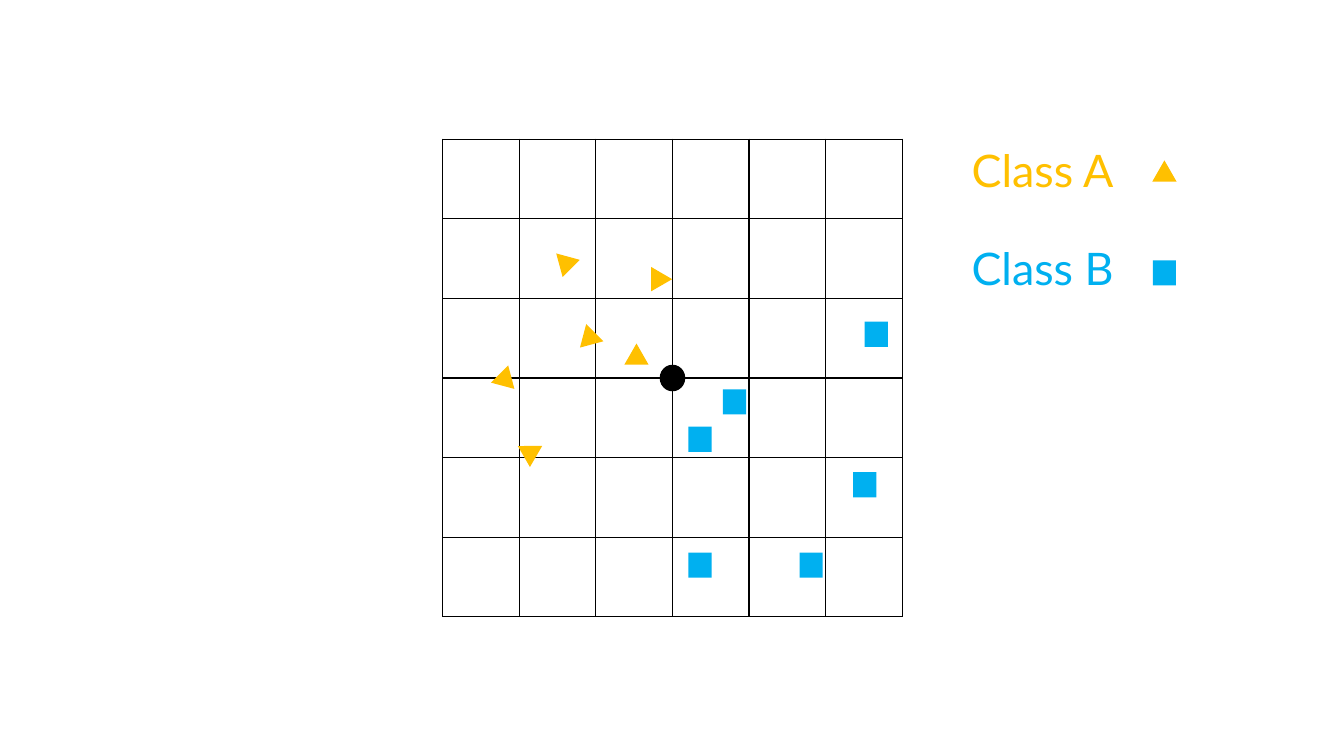
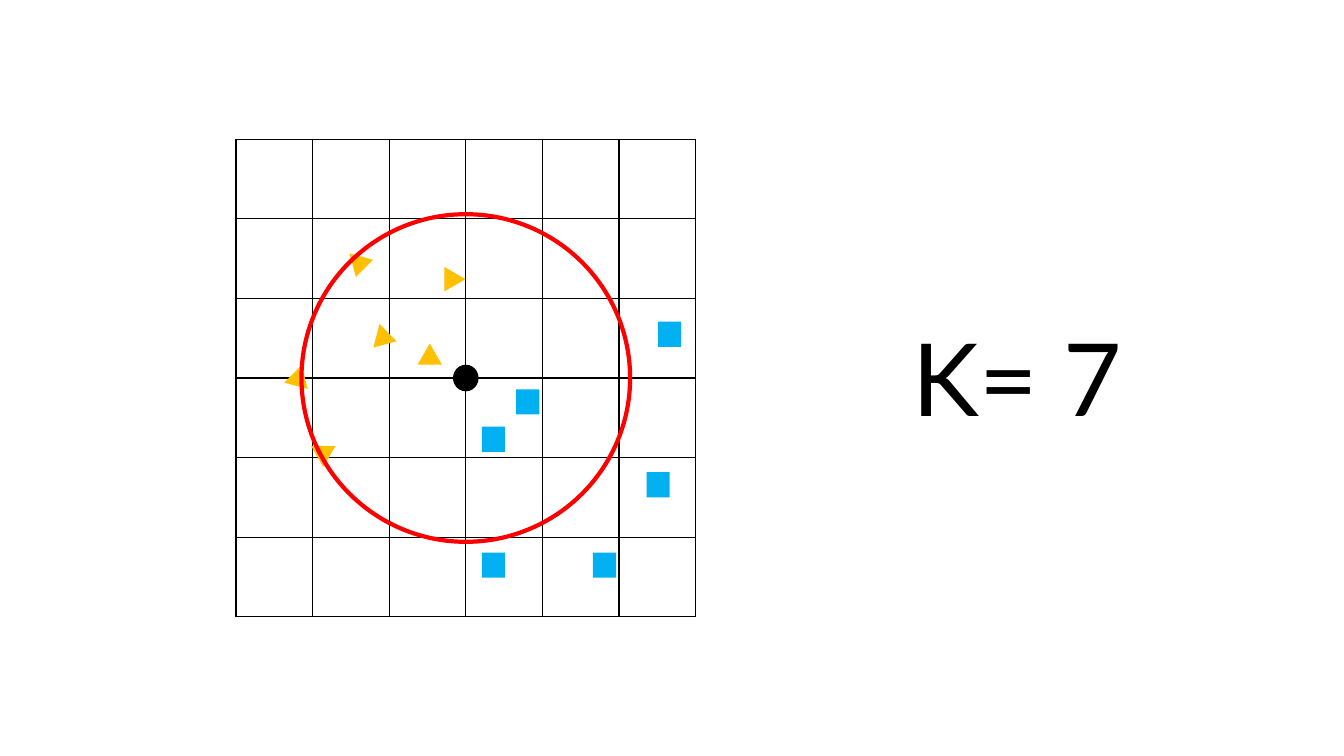
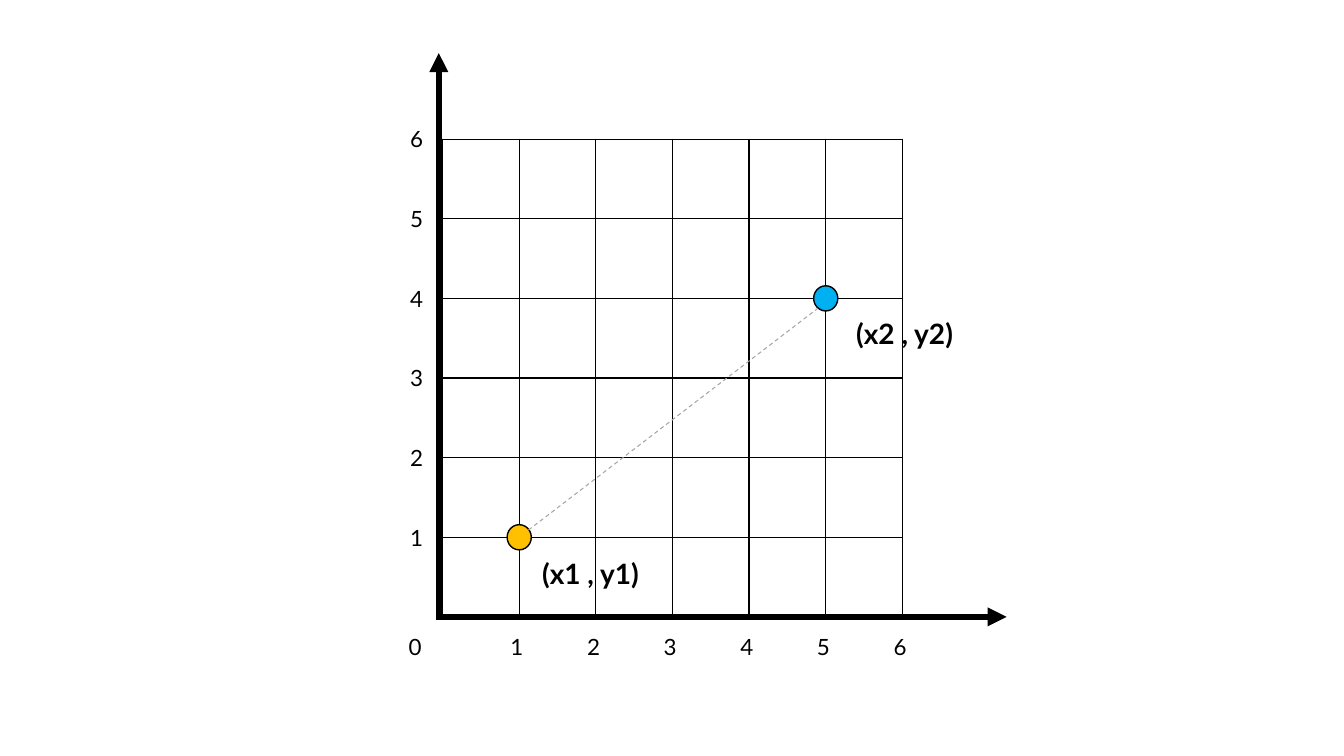
from dataclasses import dataclass
from lxml import etree
from pptx import Presentation
from pptx import util as u
from pptx.dml.color import RGBColor
from pptx.enum import dml, shapes, text
from pptx.oxml.ns import qn


@dataclass(frozen=True)
class Theme:
    font: str = "Lato"
    ink: str = "000000"
    gold: str = "FFC000"
    blue: str = "00B0F0"
    red: str = "FF0000"
    gray: str = "A5A5A5"
    tick: int = 16
    mark: int = 20
    key: int = 32
    hero: int = 72
    thin: float = 1
    ring: float = 3
    axis: float = 4.5


class Deck:
    cols = rows = 6
    wide, high = 0.76, 0.79
    top = 1.38

    def __init__(self, theme):
        self.theme = theme
        self.show = Presentation()
        self.show.slide_width = u.Inches(13.33)
        self.show.slide_height = u.Inches(7.5)

    def page(self, left, titled=True):
        self.slide = self.show.slides.add_slide(self.show.slide_layouts[5 if titled else 6])
        self.left = left
        self.grid()

    def spot(self, x, y):
        return u.Inches(self.left + x * self.wide), u.Inches(self.top + y * self.high)

    def box(self, x, y, w, h):
        cx, cy = self.spot(x, y)
        w, h = u.Inches(w), u.Inches(h)
        return cx - w // 2, cy - h // 2, w, h

    def grid(self):
        size = u.Inches(self.cols * self.wide), u.Inches(self.rows * self.high)
        table = self.slide.shapes.add_table(self.rows, self.cols, *self.spot(0, 0), *size).table
        table.first_row = table.horz_banding = False
        for cell in table.iter_cells():
            props = cell._tc.get_or_add_tcPr()
            for side in ("lnL", "lnR", "lnT", "lnB"):
                edge = etree.SubElement(props, qn("a:" + side), w=str(u.Pt(self.theme.thin)))
                fill = etree.SubElement(edge, qn("a:solidFill"))
                etree.SubElement(fill, qn("a:srgbClr"), val=self.theme.ink)
            cell.fill.background()

    def stroke(self, line, color, width):
        line.color.rgb = RGBColor.from_string(color)
        line.width = u.Pt(width)

    def shape(self, kind, x, y, w, h, fill=None, line=None, width=1, turn=0):
        item = self.slide.shapes.add_shape(kind, *self.box(x, y, w, h))
        item.shadow.inherit = False
        item.rotation = turn
        if fill:
            item.fill.solid()
            item.fill.fore_color.rgb = RGBColor.from_string(fill)
        else:
            item.fill.background()
        if line:
            self.stroke(item.line, line, width)
        else:
            item.line.fill.background()

    def wedge(self, x, y, turn=0):
        self.shape(shapes.MSO_SHAPE.ISOSCELES_TRIANGLE, x, y, 0.24, 0.21, self.theme.gold, turn=turn)

    def block(self, x, y):
        self.shape(shapes.MSO_SHAPE.RECTANGLE, x, y, 0.23, 0.25, self.theme.blue)

    def dot(self, x, y, fill):
        self.shape(shapes.MSO_SHAPE.OVAL, x, y, 0.24, 0.25, fill, self.theme.ink, self.theme.thin)

    def line(self, start, end, color, width, dash=False, arrow=False):
        item = self.slide.shapes.add_connector(
            shapes.MSO_CONNECTOR.STRAIGHT, *self.spot(*start), *self.spot(*end))
        self.stroke(item.line, color, width)
        if dash:
            item.line.dash_style = dml.MSO_LINE.DASH
        if arrow:
            etree.SubElement(item.line._get_or_add_ln(), qn("a:tailEnd"), type="triangle")
        etree.SubElement(item._element.spPr, qn("a:effectLst"))

    def letter(self, frame, lines, size, gap=0, bold=False):
        look = {"word_wrap": True, "auto_size": text.MSO_AUTO_SIZE.NONE,
                "vertical_anchor": text.MSO_ANCHOR.MIDDLE}
        for name, value in look.items():
            setattr(frame, name, value)
        for i, (words, color) in enumerate(lines):
            para = frame.add_paragraph() if i else frame.paragraphs[0]
            run = para.add_run()
            run.text = words
            form = {"alignment": text.PP_ALIGN.CENTER, "line_spacing": 0.9,
                    "space_before": u.Pt(gap if i else 0)}
            face = {"name": self.theme.font, "size": u.Pt(size), "bold": bold}
            for part, values in ((para, form), (run.font, face)):
                for name, value in values.items():
                    setattr(part, name, value)
            run.font.color.rgb = RGBColor.from_string(color)

    def title(self, x, y, lines, size, gap=0):
        item = self.slide.shapes.title
        for name, value in zip(("left", "top", "width", "height"), self.box(x, y, 3.77, 1.5)):
            setattr(item, name, value)
        self.letter(item.text_frame, lines, size, gap)

    def label(self, x, y, words, size, width=0.35, bold=False):
        item = self.slide.shapes.add_textbox(*self.box(x, y, width, 0.42))
        self.letter(item.text_frame, [(words, self.theme.ink)], size, bold=bold)

    def cloud(self):
        self.dot(3, 3, self.theme.ink)
        for x, y, turn in ((1.58, 1.53, 315), (1.18, 3.92, 60), (1.91, 2.45, 345),
                           (2.79, 1.72, 330), (0.82, 2.97, 15), (2.53, 2.7, 0)):
            self.wedge(x, y, turn)
        for x, y in ((3.36, 3.77), (3.81, 3.3), (5.51, 4.34),
                     (4.81, 5.35), (3.36, 5.35), (5.66, 2.45)):
            self.block(x, y)


def legend(deck):
    look = deck.theme
    deck.page(4.39)
    deck.cloud()
    deck.title(7.83, 1.04, [("Class A", look.gold), ("Class B", look.blue)], look.key, 35)
    deck.wedge(9.42, 0.4)
    deck.block(9.42, 1.68)


def nearest(deck):
    look = deck.theme
    deck.page(2.34)
    deck.cloud()
    deck.title(10.2, 3.07, [("K= 7", look.ink)], look.hero)
    deck.shape(shapes.MSO_SHAPE.OVAL, 3, 3, 3.26, 3.25, line=look.red, width=look.ring)


def distance(deck):
    look = deck.theme
    deck.page(4.39, titled=False)
    deck.dot(1, 5, look.gold)
    deck.dot(5, 2, look.blue)
    deck.line((1.12, 4.91), (4.89, 2.13), look.gray, 0.75, dash=True)
    deck.line((-0.05, 6), (-0.05, -1.08), look.ink, look.axis, arrow=True)
    deck.line((-0.08, 6), (7.36, 6), look.ink, look.axis, arrow=True)
    deck.label(-0.36, 6.4, "0", look.tick)
    for n in range(1, deck.cols + 1):
        deck.label(-0.34, deck.rows - n + 0.02, str(n), look.tick)
        deck.label(n - 0.03, 6.4, str(n), look.tick)
    deck.label(1.93, 5.48, "(x1 , y1)", look.mark, 1.25, True)
    deck.label(6.03, 2.46, "(x2 , y2)", look.mark, 1.5, True)


def main():
    deck = Deck(Theme())
    for draw in (legend, nearest, distance):
        draw(deck)
    deck.show.save("out.pptx")


if __name__ == "__main__":
    main()
